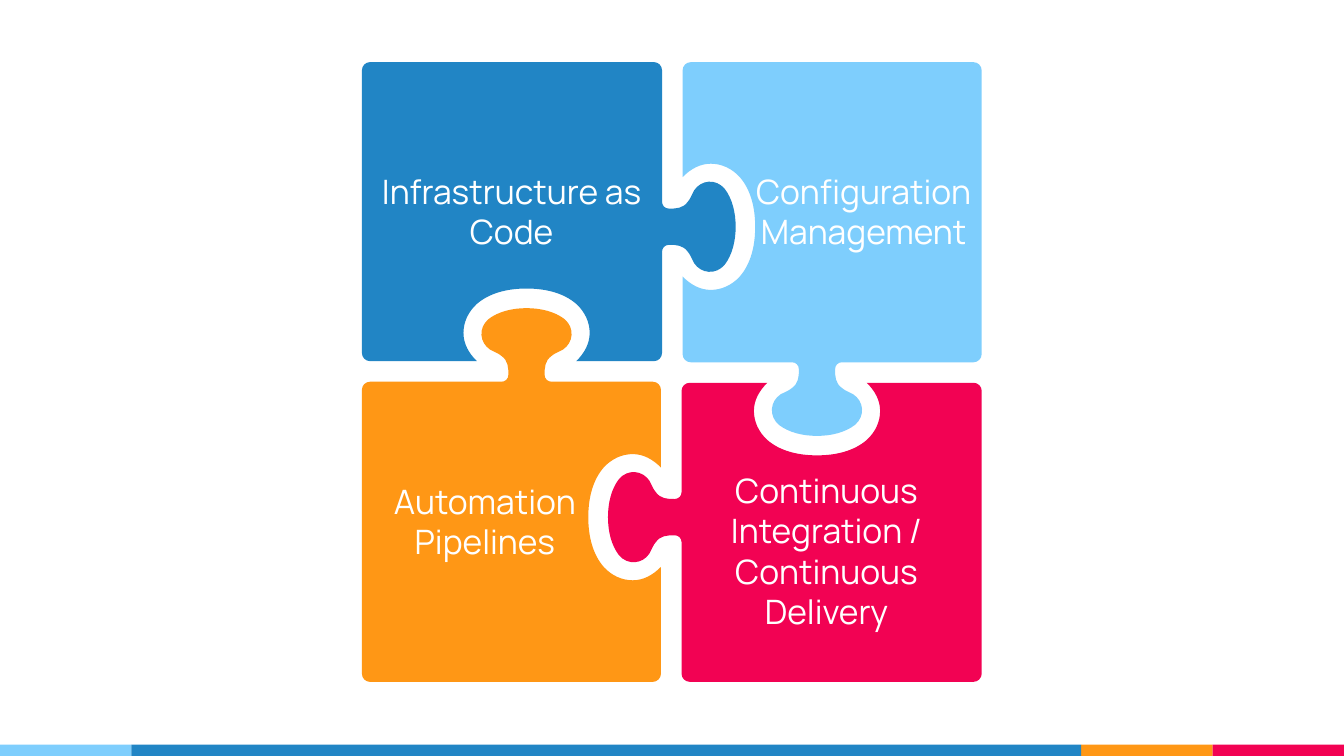
from dataclasses import dataclass
from itertools import accumulate

from lxml.etree import SubElement
from pptx import Presentation
from pptx.dml.color import RGBColor
from pptx.enum.shapes import MSO_SHAPE
from pptx.enum.text import MSO_AUTO_SIZE, PP_ALIGN
from pptx.oxml.ns import qn
from pptx.util import Pt


@dataclass(frozen=True)
class Theme:
    blue: str = "2185C5"
    sky: str = "7ECEFD"
    orange: str = "FF9715"
    red: str = "F20253"
    white: str = "FFFFFF"
    font: str = "Manrope"
    label_size: float = 18


THEME = Theme()
SLIDE_W, SLIDE_H = 720, 405
BAND_H = 6
CENTRE_X, CENTRE_Y = 359.9, 199.3

# Top-left piece, measured from the centre of the puzzle.
OUTER = -166
RIGHT, BOTTOM = -5.2, -5.8
MIDDLE = -77.8
CORNER = 4.4

# Bezier points of half a profile, as (distance from its axis, depth).
HALF_SOCKET = [
    (26.6, 0), (31, 4.3), (33.8, 9.4), (33.8, 15.1),
    (33.8, 20.9), (31.3, 26.3), (26.8, 30.5),
    (20, 36.5), (10.4, 38.9), (0, 38.9),
]
HALF_TAB = [
    (13.3, 0), (11.5, 0), (9.7, 1.4), (9.7, 3.7),
    (9.7, 7.8), (9.9, 11.2), (13.3, 13.7),
    (14.8, 15.1), (17.3, 16), (19.4, 17.1),
    (25.2, 20.9), (25.9, 28.8), (20.4, 33.5),
    (15.1, 37.6), (7.6, 39.4), (0, 39.4),
]

# Colour and number of clockwise quarter turns about the centre.
PIECES = [(THEME.blue, 0), (THEME.sky, 1), (THEME.orange, 3), (THEME.red, 2)]

# Paragraphs, left, top, width, height.
LABELS = [
    (["Infrastructure as Code"], 191.3, 87.8, 165.6, 51),
    (["Configuration", "Management"], 390.7, 87.8, 144, 51),
    (["Continuous Integration / Continuous Delivery"], 360, 248.2, 165.6, 94.6),
    (["Automation", "Pipelines"], 177, 254, 165.6, 51),
]

BAND = [(THEME.orange, 579.2, 70.4), (THEME.red, 649.6, 70.4),
        (THEME.sky, 0, 70.4), (THEME.blue, 70.4, 508.8)]


def apply_format(target, values):
    for name, value in values.items():
        setattr(target, name, value)


def paint(shape, colour):
    shape.shadow.inherit = False
    shape.fill.solid()
    shape.fill.fore_color.rgb = RGBColor.from_string(colour)
    shape.line.fill.background()


def mirrored(half):
    return half + [(-across, depth) for across, depth in reversed(half[:-1])]


def rounded_corner(x, y, start, end):
    """Bezier for a corner; start and end point from it along its two sides."""
    reaches = [(start, 1), (start, 0.45), (end, 0.45), (end, 1)]
    return [(x + dx * CORNER * reach, y + dy * CORNER * reach)
            for (dx, dy), reach in reaches]


def piece_outline():
    """One chain of cubic curves; a straight side is a curve with flat handles."""
    left, right, up, down = (-1, 0), (1, 0), (0, -1), (0, 1)
    outline = [(MIDDLE - across, BOTTOM - depth)
               for across, depth in mirrored(HALF_SOCKET)]
    tab = [(RIGHT + depth, MIDDLE + across)
           for across, depth in mirrored(HALF_TAB)]
    for section in (
        rounded_corner(RIGHT, BOTTOM, left, up),
        tab,
        rounded_corner(RIGHT, OUTER, down, left),
        rounded_corner(OUTER, OUTER, right, down),
        rounded_corner(OUTER, BOTTOM, up, right),
    ):
        outline += section[:1] * 3 + section[1:]
    return outline


def curve_segments(shape):
    """Turn every three line segments into one cubic curve."""
    segments = list(shape.element.iter(qn("a:lnTo")))
    for i in range(0, len(segments), 3):
        outline = segments[i].getparent()
        curve = SubElement(outline, qn("a:cubicBezTo"))
        segments[i].addprevious(curve)
        for segment in segments[i:i + 3]:
            curve.append(segment[0])
            outline.remove(segment)


def add_piece(slide, outline, colour, turns):
    for _ in range(turns):
        outline = [(-y, x) for x, y in outline]
    points = [(Pt(CENTRE_X + x), Pt(CENTRE_Y + y)) for x, y in outline]
    builder = slide.shapes.build_freeform(*points[0])
    builder.add_line_segments(points[1:], close=True)
    piece = builder.convert_to_shape()
    curve_segments(piece)
    paint(piece, colour)


def add_label(slide, paragraphs, *box):
    frame = slide.shapes.add_textbox(*map(Pt, box)).text_frame
    apply_format(frame, {"text": "\n".join(paragraphs), "word_wrap": True,
                         "auto_size": MSO_AUTO_SIZE.SHAPE_TO_FIT_TEXT})
    for paragraph in frame.paragraphs:
        paragraph.alignment = PP_ALIGN.CENTER
        for run in paragraph.runs:
            apply_format(run.font, {"name": THEME.font,
                                    "size": Pt(THEME.label_size)})
            run.font.color.rgb = RGBColor.from_string(THEME.white)


def add_band(slide):
    for colour, left, width in BAND:
        stripe = slide.shapes.add_shape(
            MSO_SHAPE.RECTANGLE, Pt(left), Pt(SLIDE_H - BAND_H),
            Pt(width), Pt(BAND_H))
        paint(stripe, colour)


def main():
    deck = Presentation()
    apply_format(deck, {"slide_width": Pt(SLIDE_W), "slide_height": Pt(SLIDE_H)})
    slide = deck.slides.add_slide(deck.slide_layouts[6])
    add_band(slide)
    outline = piece_outline()
    for colour, turns in PIECES:
        add_piece(slide, outline, colour, turns)
    for label in LABELS:
        add_label(slide, *label)
    deck.save("out.pptx")


if __name__ == "__main__":
    main()
